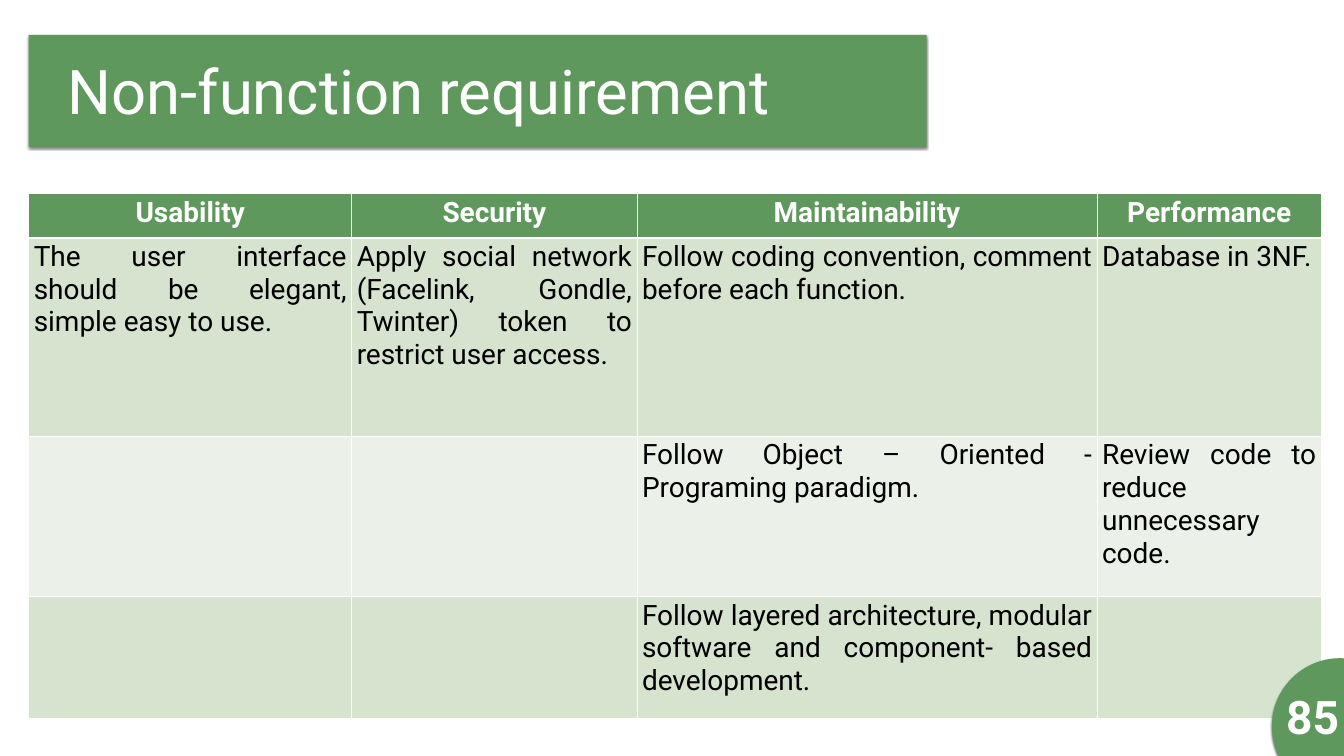
from lxml import etree
from pptx import Presentation
from pptx.dml.color import RGBColor
from pptx.enum import shapes, text
from pptx.oxml import ns
from pptx.util import Inches, Pt

HEADS = ["Usability", "Security", "Maintainability", "Performance"]
ROWS = [
    ["The user interface should be elegant, simple easy to use.",
     "Apply social network (Facelink, Gondle, Twinter) token to restrict user access.",
     "Follow coding convention, comment before each function.",
     "Database in 3NF."],
    ["", "", "Follow Object – Oriented - Programing paradigm.",
     "Review code to reduce unnecessary code."],
    ["", "", "Follow layered architecture, modular software and component- based development.", ""],
]
WIDTHS = [6.41, 5.66, 9.13, 4.45]
HEIGHTS = [0.88, 3.94, 3.18, 2.41]
LEFT, TOP = 0.57, 3.84
FONT = "Roboto"
GREEN = RGBColor(0x5F, 0x98, 0x5D)
WHITE = RGBColor(0xFF, 0xFF, 0xFF)
BLACK = RGBColor(0, 0, 0)
BANDS = [RGBColor(0xD5, 0xE3, 0xCF), RGBColor(0xEB, 0xF1, 0xE9)]


def node(up, tag, **attrs):
    return etree.SubElement(up, ns.qn("a:" + tag), attrs)


def write(frame, words, size, color, bold, align):
    para = frame.paragraphs[0]
    para.alignment = align
    run = para.add_run()
    run.text = words
    font = run.font
    font.name, font.size, font.bold = FONT, Pt(size), bold
    font.color.rgb = color


def panel(slide, kind, box):
    shape = slide.shapes.add_shape(kind, *map(Inches, box))
    shape.fill.solid()
    shape.fill.fore_color.rgb = GREEN
    shape.line.fill.background()
    shape.shadow.inherit = False
    glow = shape.element.spPr.find(ns.qn("a:effectLst"))
    shade = node(glow, "outerShdw", blurRad=str(Pt(3)), dist=str(Pt(2)),
                 dir="5400000", algn="t", rotWithShape="0")
    node(node(shade, "srgbClr", val=str(BLACK)), "alpha", val="50000")


def label(slide, box, words, size, bold):
    frame = slide.shapes.add_textbox(*map(Inches, box)).text_frame
    frame.word_wrap = False
    frame.auto_size = text.MSO_AUTO_SIZE.SHAPE_TO_FIT_TEXT
    write(frame, words, size, WHITE, bold, text.PP_ALIGN.CENTER)


def edge(cell, low):
    props = cell._tc.get_or_add_tcPr()
    for side, size in zip("LRTB", (1, 1, 1, low)):
        line = node(props, "ln" + side, w=str(Pt(size)))
        node(node(line, "solidFill"), "srgbClr", val=str(WHITE))


def grid(slide):
    table = slide.shapes.add_table(
        len(HEIGHTS), len(WIDTHS), Inches(LEFT), Inches(TOP),
        Inches(sum(WIDTHS)), Inches(sum(HEIGHTS))).table
    for col, width in zip(table.columns, WIDTHS):
        col.width = Inches(width)
    for row, height in zip(table.rows, HEIGHTS):
        row.height = Inches(height)
    for i, row in enumerate([HEADS] + ROWS):
        head = i == 0
        for j, words in enumerate(row):
            cell = table.cell(i, j)
            edge(cell, 3 if head else 1)
            cell.fill.solid()
            cell.fill.fore_color.rgb = GREEN if head else BANDS[(i - 1) % 2]
            if words:
                align = text.PP_ALIGN.CENTER if head else text.PP_ALIGN.JUSTIFY
                write(cell.text_frame, words, 40, WHITE if head else BLACK, head, align)


def main():
    deck = Presentation()
    deck.slide_width, deck.slide_height = Inches(26.67), Inches(15)
    slide = deck.slides.add_slide(deck.slide_layouts[6])
    panel(slide, shapes.MSO_SHAPE.RECTANGLE, (LEFT, 0.69, 17.82, 2.23))
    label(slide, (1.07, 1, 14.47, 1.58), "Non-function requirement", 88, False)
    grid(slide)
    panel(slide, shapes.MSO_SHAPE.OVAL, (25.24, 13.06, 2.7, 2.7))
    label(slide, (25.42, 13.61, 1.26, 1.21), "85", 66, True)
    deck.save("out.pptx")


if __name__ == "__main__":
    main()
